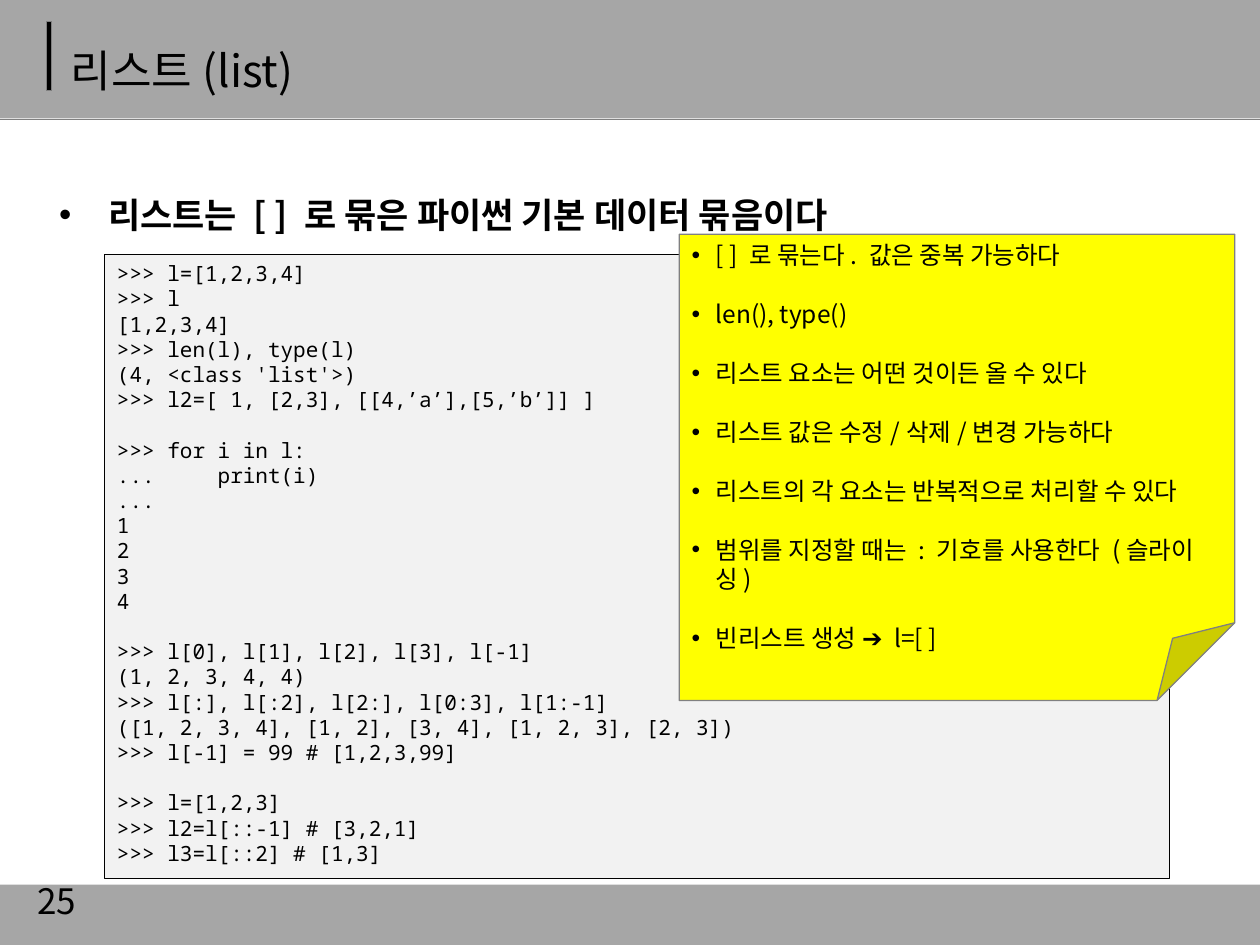
from lxml import etree
from pptx import Presentation
from pptx.dml.color import RGBColor
from pptx.enum.shapes import MSO_CONNECTOR, MSO_SHAPE
from pptx.enum.text import MSO_ANCHOR, MSO_AUTO_SIZE, PP_ALIGN
from pptx.oxml.ns import qn
from pptx.util import Inches, Pt

RECT = MSO_SHAPE.RECTANGLE
FOLD = MSO_SHAPE.FOLDED_CORNER
LINE = MSO_CONNECTOR.STRAIGHT
TOP, MIDDLE = MSO_ANCHOR.TOP, MSO_ANCHOR.MIDDLE
LEFT = PP_ALIGN.LEFT
NO_FIT = MSO_AUTO_SIZE.NONE

SANS = "Noto Sans CJK KR"
MONO = "Noto Sans Mono"
COLORS = {
    "bar": "A6A6A6",
    "edge": "808080",
    "ink": "000000",
    "code": "F2F2F2",
    "note": "FFFF00",
}

# Each block of code stands one line apart from the next
CODE = [
    """>>> l=[1,2,3,4]
>>> l
[1,2,3,4]
>>> len(l), type(l)
(4, <class 'list'>)
>>> l2=[ 1, [2,3], [[4,’a’],[5,’b’]] ]""",
    """>>> for i in l:
...     print(i)
...
1
2
3
4""",
    """>>> l[0], l[1], l[2], l[3], l[-1]
(1, 2, 3, 4, 4)
>>> l[:], l[:2], l[2:], l[0:3], l[1:-1]
([1, 2, 3, 4], [1, 2], [3, 4], [1, 2, 3], [2, 3])
>>> l[-1] = 99 # [1,2,3,99]""",
    """>>> l=[1,2,3]
>>> l2=l[::-1] # [3,2,1]
>>> l3=l[::2] # [1,3]""",
]
NOTES = [
    "[ ] 로 묶는다. 값은 중복 가능하다",
    "len(), type()",
    "리스트 요소는 어떤 것이든 올 수 있다",
    "리스트 값은 수정/삭제/변경 가능하다",
    "리스트의 각 요소는 반복적으로 처리할 수 있다",
    "범위를 지정할 때는 : 기호를 사용한다 (슬라이싱)",
    "빈리스트 생성 ➔ l=[ ]",
]


def color(name):
    return RGBColor.from_string(COLORS[name])


def add_box(slide, box, fill, edge=None, kind=RECT):
    shape = slide.shapes.add_shape(kind, *map(Inches, box))
    shape.shadow.inherit = False
    shape.fill.solid()
    shape.fill.fore_color.rgb = color(fill)
    if edge:
        shape.line.color.rgb = color(edge)
        shape.line.width = Pt(0.75)
    else:
        shape.line.fill.background()
    return shape


def add_rule(slide, y):
    rule = slide.shapes.add_connector(LINE, 0, Inches(y), Inches(10), Inches(y))
    rule.line.color.rgb = color("edge")
    rule.line.width = Pt(0.75)
    etree.SubElement(rule._element.spPr, qn("a:effectLst"))


def add_label(slide, box):
    return slide.shapes.add_textbox(*map(Inches, box))


def set_frame(shape, anchor=TOP):
    frame = shape.text_frame
    frame.word_wrap = True
    frame.auto_size = NO_FIT
    frame.vertical_anchor = anchor
    return frame


def set_bullet(para, indent):
    props = para._p.get_or_add_pPr()
    props.set("marL", str(Inches(indent)))
    props.set("indent", str(-Inches(indent)))
    etree.SubElement(props, qn("a:buFont")).set("typeface", "Arial")
    etree.SubElement(props, qn("a:buChar")).set("char", "•")


def set_text(para, text, size, face=SANS, bold=False):
    para.text = text
    para.alignment = LEFT
    for run in para.runs:
        font = run.font
        font.size = Pt(size)
        font.bold = bold
        font.color.rgb = color("ink")
        font.name = face
        etree.SubElement(run._r.get_or_add_rPr(), qn("a:ea")).set("typeface", face)


def next_para(frame, index):
    return frame.add_paragraph() if index else frame.paragraphs[0]


def fill_code(frame):
    count = 0
    for block in CODE:
        for row, text in enumerate(block.splitlines()):
            para = next_para(frame, count)
            set_text(para, text, 12, MONO)
            if count and row == 0:
                para.space_before = Pt(14.4)
            count += 1


def fill_notes(frame):
    for index, text in enumerate(NOTES):
        para = next_para(frame, index)
        if index:
            para.space_before = Pt(16.8)
        set_bullet(para, 0.19)
        set_text(para, text, 14)


def set_title(slide, text):
    title = slide.shapes.title
    title.left, title.top = Inches(0.46), Inches(0.14)
    title.width, title.height = Inches(8.62), Inches(0.62)
    para = set_frame(title, MIDDLE).paragraphs[0]
    set_text(para, text, 25.2)
    para.line_spacing = 1.5
    # Bring the title in front of the bars
    slide.shapes._spTree.append(title._element)


def main():
    deck = Presentation()
    deck.slide_width, deck.slide_height = Inches(10), Inches(7.5)
    slide = deck.slides.add_slide(deck.slide_layouts[5])

    # Header and footer bars
    add_box(slide, (0, -0.01, 10, 0.95), "bar")
    add_rule(slide, 0.95)
    add_box(slide, (0.37, 0.17, 0.04, 0.55), "ink", "edge")
    add_box(slide, (0, 7.02, 10, 0.48), "bar")

    # Title and main point
    set_title(slide, "리스트(list)")
    point = set_frame(add_label(slide, (0.37, 1.15, 9.28, 5.15))).paragraphs[0]
    point.line_spacing = 2.0
    set_bullet(point, 0.39)
    set_text(point, "리스트는 [ ] 로 묶은 파이썬 기본 데이터 묶음이다", 20, bold=True)

    # Code panel
    panel = add_box(slide, (0.83, 2.02, 8.45, 4.95), "code", "ink")
    fill_code(set_frame(panel))

    # Sticky note
    note = add_box(slide, (5.39, 1.86, 4.41, 3.7), "note", "edge", FOLD)
    fill_notes(set_frame(note))

    # Page number
    page = set_frame(add_label(slide, (0.2, 6.95, 2.33, 0.4)), MIDDLE)
    set_text(page.paragraphs[0], "25", 20)

    deck.save("out.pptx")


if __name__ == "__main__":
    main()
